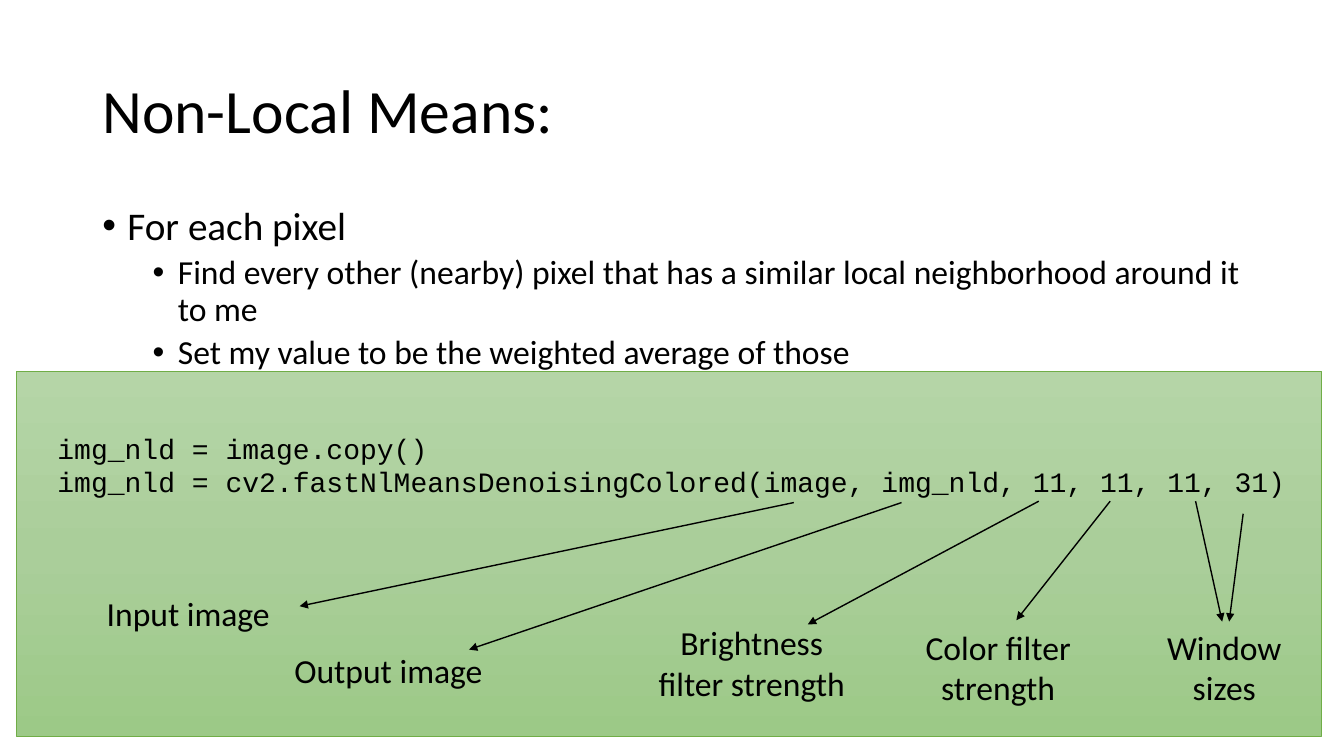
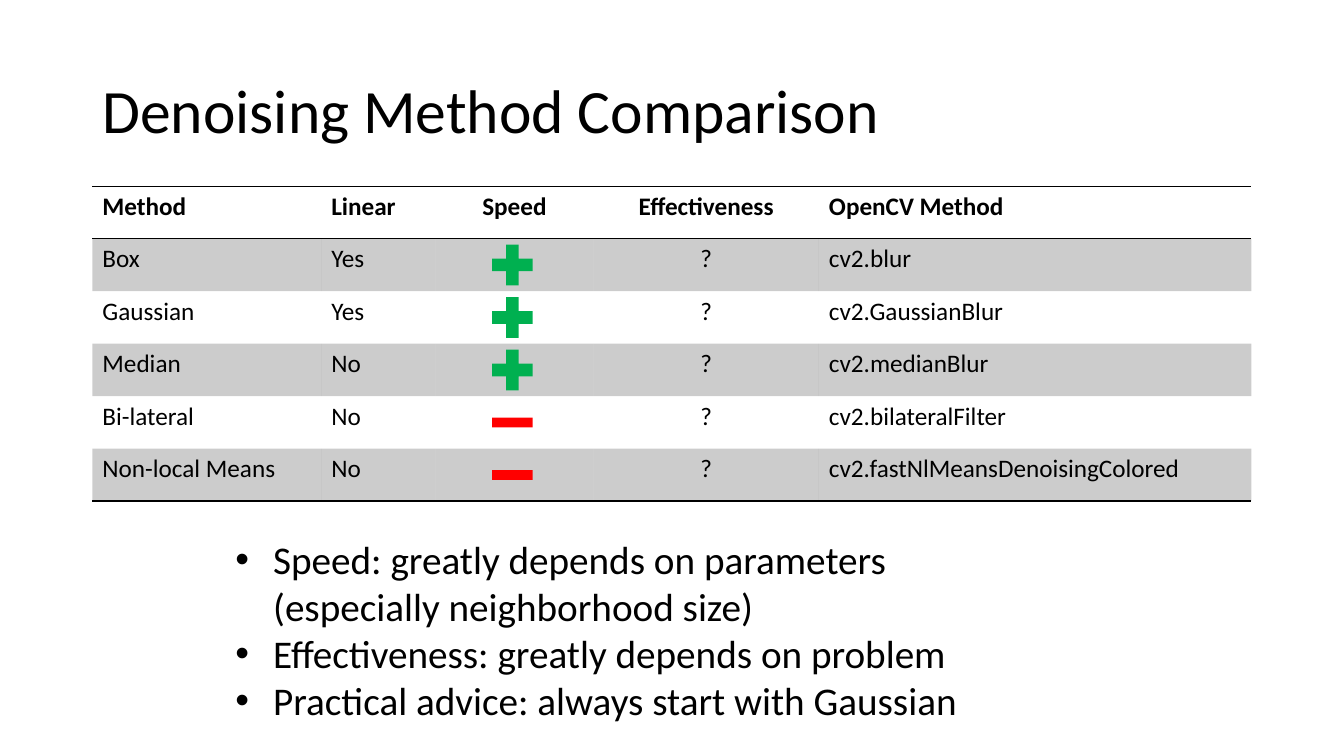
import copy
import dataclasses

import pptx
import pptx.dml.color
import pptx.enum.shapes
import pptx.enum.text
import pptx.oxml
import pptx.oxml.ns
import pptx.util

Pt = pptx.util.Pt
qn = pptx.oxml.ns.qn
RGB = pptx.dml.color.RGBColor.from_string
Shape = pptx.enum.shapes.MSO_SHAPE
Align = pptx.enum.text.PP_ALIGN
Anchor = pptx.enum.text.MSO_ANCHOR


@dataclasses.dataclass(frozen=True)
class Theme:
    text: str = "000000"
    panel_stops: tuple = ((0, "B5D5A7"), (0.5, "AACE9A"), (1, "9CC987"))
    panel_line: str = "70AD47"
    plus: str = "00B050"
    minus: str = "FF0000"
    band_opacity: int = 20
    font: str = "Calibri"
    code_font: str = "Courier New"
    title_size: int = 44
    bullet_size: int = 28
    label_size: int = 24
    code_size: int = 20
    table_size: int = 18


@dataclasses.dataclass(frozen=True)
class Box:
    left: float
    top: float
    width: float
    height: float

    def inside(self, parent):
        return Box(parent.left + self.left, parent.top + self.top, self.width, self.height)

    def lengths(self):
        return [Pt(value) for value in (self.left, self.top, self.width, self.height)]


THEME = Theme()
TITLE = Box(66, 29, 828, 104)
NO_TABLE_STYLE = "{2D5ABB26-0587-4C30-8999-92F81FD0307C}"


def add_xml(parent, tag, **attributes):
    element = parent.makeelement(qn(tag), attributes)
    parent.append(element)
    return element


def add_run(paragraph, text, size, font=THEME.font, bold=False):
    run = paragraph.add_run()
    run.text = text
    run.font.size = Pt(size)
    run.font.name = font
    run.font.bold = bold
    run.font.color.rgb = RGB(THEME.text)


def paragraphs_for(frame, texts):
    """Yield one paragraph for each text, starting with the frame's own."""
    for index, text in enumerate(texts):
        yield (frame.add_paragraph() if index else frame.paragraphs[0]), text


def set_bullet(paragraph, margin, hanging):
    properties = paragraph._p.get_or_add_pPr()
    properties.set("marL", str(Pt(margin)))
    properties.set("indent", str(-Pt(hanging)))
    add_xml(properties, "a:buFont", typeface="Arial")
    add_xml(properties, "a:buChar", char="•")


def add_text_box(slide, box):
    frame = slide.shapes.add_textbox(*box.lengths()).text_frame
    frame.word_wrap = True
    return frame


def add_plain_shape(slide, kind, box):
    shape = slide.shapes.add_shape(kind, *box.lengths())
    shape.shadow.inherit = False
    return shape


def add_titled_slide(presentation, text):
    slide = presentation.slides.add_slide(presentation.slide_layouts[5])
    title = slide.shapes.title
    title.left, title.top, title.width, title.height = TITLE.lengths()
    frame = title.text_frame
    frame.auto_size = pptx.enum.text.MSO_AUTO_SIZE.NONE
    frame.vertical_anchor = Anchor.MIDDLE
    paragraph = frame.paragraphs[0]
    paragraph.alignment = Align.LEFT
    paragraph.line_spacing = 0.9
    add_run(paragraph, text, THEME.title_size)
    return slide


def add_outline(slide, box, heading, points):
    frame = add_text_box(slide, box)
    for paragraph, text in paragraphs_for(frame, [heading, *points]):
        is_heading = text == heading
        set_bullet(paragraph, 18 if is_heading else 54, 18)
        paragraph.line_spacing = 0.9
        if not is_heading:
            paragraph.level = 1
            paragraph.space_before = Pt(5)
        add_run(paragraph, text, THEME.bullet_size if is_heading else THEME.label_size)


def add_bullets(slide, box, texts):
    frame = add_text_box(slide, box)
    for paragraph, text in paragraphs_for(frame, texts):
        set_bullet(paragraph, 27, 27)
        add_run(paragraph, text, THEME.bullet_size)


def fill_panel(panel):
    panel.fill.gradient()
    panel.fill.gradient_angle = 270
    stop_list = panel._element.spPr.find(".//" + qn("a:gsLst"))
    stop_list.insert(1, copy.deepcopy(stop_list[0]))
    for stop, (position, color) in zip(panel.fill.gradient_stops, THEME.panel_stops):
        stop.position = position
        stop.color.rgb = RGB(color)
    panel.line.color.rgb = RGB(THEME.panel_line)
    panel.line.width = Pt(0.5)


def add_arrow(slide, box, start, end):
    points = [Pt(value) for x, y in (start, end) for value in (box.left + x, box.top + y)]
    arrow = slide.shapes.add_connector(pptx.enum.shapes.MSO_CONNECTOR.STRAIGHT, *points)
    arrow.line.color.rgb = RGB(THEME.text)
    arrow.line.width = Pt(1)
    add_xml(arrow.line._get_or_add_ln(), "a:tailEnd", type="triangle")
    add_xml(arrow._element.spPr, "a:effectLst")


def add_code_panel(slide, box, code_lines, callouts):
    """Draw the code; callouts hold a label, its box and its arrows, relative to the panel."""
    panel = add_plain_shape(slide, Shape.RECTANGLE, box)
    fill_panel(panel)
    frame = panel.text_frame
    frame.word_wrap = True
    frame.vertical_anchor = Anchor.TOP
    frame.margin_left, frame.margin_top = Pt(29), Pt(43)
    for paragraph, line in paragraphs_for(frame, code_lines):
        paragraph.alignment = Align.LEFT
        add_run(paragraph, line, THEME.code_size, THEME.code_font)
    for label, label_box, arrows in callouts:
        paragraph = add_text_box(slide, label_box.inside(box)).paragraphs[0]
        paragraph.alignment = Align.CENTER
        add_run(paragraph, label, THEME.label_size)
        for start, end in arrows:
            add_arrow(slide, box, start, end)


def set_rule(cell, tag):
    """Add a black border; top goes in after bottom, so that it comes first."""
    properties = cell._tc.get_or_add_tcPr()
    line = add_xml(properties, tag, w=str(Pt(1)))
    add_xml(add_xml(line, "a:solidFill"), "a:srgbClr", val=THEME.text)
    properties.insert(0, line)


def fill_cell(cell, banded):
    if not banded:
        cell.fill.background()
        return
    cell.fill.solid()
    cell.fill.fore_color.rgb = RGB(THEME.text)
    color = cell._tc.tcPr.find(".//" + qn("a:srgbClr"))
    add_xml(color, "a:alpha", val=str(THEME.band_opacity * 1000))


def add_mark(slide, sign, center_x, center_y):
    size = 29
    height = size if sign == "+" else 7
    kind = Shape.CROSS if sign == "+" else Shape.RECTANGLE
    mark = add_plain_shape(
        slide, kind, Box(center_x - size / 2, center_y - height / 2, size, height))
    if sign == "+":
        mark.adjustments[0] = 0.345
    mark.fill.solid()
    mark.fill.fore_color.rgb = RGB(THEME.plus if sign == "+" else THEME.minus)
    mark.line.fill.background()


def add_comparison(slide, box, widths, rows, centered, mark_column):
    """Draw the table; signs in the mark column become shapes over their cells."""
    row_height = box.height / len(rows)
    frame = slide.shapes.add_table(len(rows), len(widths), *box.lengths())
    table = frame.table
    table.first_row = table.horz_banding = False
    table._tbl.tblPr.find(qn("a:tableStyleId")).text = NO_TABLE_STYLE
    for column, width in zip(table.columns, widths):
        column.width = Pt(width)
    mark_x = box.left + sum(widths[:mark_column]) + widths[mark_column] / 2 - 1.5
    for row_index, row in enumerate(rows):
        table.rows[row_index].height = Pt(row_height)
        is_header = row_index == 0
        for column_index, text in enumerate(row):
            cell = table.cell(row_index, column_index)
            fill_cell(cell, row_index % 2 == 1)
            if is_header or row_index == len(rows) - 1:
                set_rule(cell, "a:lnB")
            if is_header:
                set_rule(cell, "a:lnT")
            if column_index == mark_column and not is_header:
                add_mark(slide, text, mark_x, box.top + row_height * (row_index + 0.5))
                continue
            paragraph = cell.text_frame.paragraphs[0]
            paragraph.alignment = Align.CENTER if column_index in centered else Align.LEFT
            add_run(paragraph, text, THEME.table_size, bold=is_header)


def build_means_slide(presentation):
    slide = add_titled_slide(presentation, "Non-Local Means:")
    add_outline(slide, Box(66, 144, 828, 343), "For each pixel", [
        "Find every other (nearby) pixel that has a similar local neighborhood around it to me",
        "Set my value to be the weighted average of those",
    ])
    code_lines = [
        "img_nld = image.copy()",
        "img_nld = cv2.fastNlMeansDenoisingColored(image, img_nld, 11, 11, 11, 31)",
    ]
    callouts = [
        ("Input image", Box(34, 155, 177, 36), [((555, 94), (202, 168))]),
        ("Output image", Box(177, 196, 177, 36), [((632, 94), (323, 199))]),
        ("Brightness filter strength", Box(442, 176, 166, 66), [((730, 93), (565, 181))]),
        ("Color filter strength", Box(618, 179, 166, 66), [((781, 93), (714, 178))]),
        ("Window sizes", Box(807, 179, 111, 66),
         [((876, 102), (866, 179)), ((842, 93), (861, 179))]),
    ]
    add_code_panel(slide, Box(12, 265, 932, 261), code_lines, callouts)


def build_comparison_slide(presentation):
    slide = add_titled_slide(presentation, "Denoising Method Comparison")
    rows = [
        ("Method", "Linear", "Speed", "Effectiveness", "OpenCV Method"),
        ("Box", "Yes", "+", "?", "cv2.blur"),
        ("Gaussian", "Yes", "+", "?", "cv2.GaussianBlur"),
        ("Median", "No", "+", "?", "cv2.medianBlur"),
        ("Bi-lateral", "No", "-", "?", "cv2.bilateralFilter"),
        ("Non-local Means", "No", "-", "?", "cv2.fastNlMeansDenoisingColored"),
    ]
    add_comparison(slide, Box(66, 133, 828, 225), (163.5, 81.5, 113, 161, 309), rows,
                   centered=(2, 3), mark_column=2)
    add_bullets(slide, Box(161, 379, 561, 143), [
        "Speed: greatly depends on parameters (especially neighborhood size)",
        "Effectiveness: greatly depends on problem",
        "Practical advice: always start with Gaussian",
    ])


def main():
    presentation = pptx.Presentation()
    presentation.slide_width, presentation.slide_height = Pt(960), Pt(540)
    build_means_slide(presentation)
    build_comparison_slide(presentation)
    presentation.save("out.pptx")


if __name__ == "__main__":
    main()
